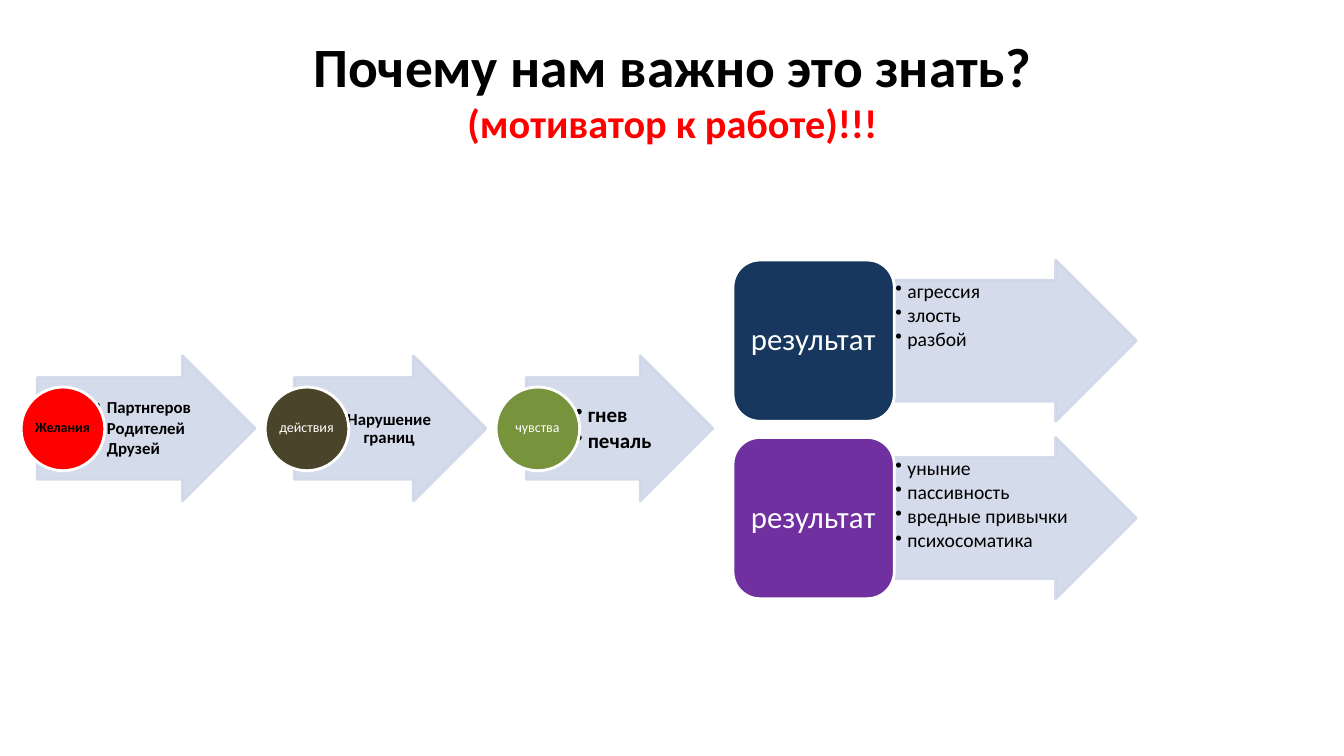
from copy import deepcopy

from lxml.etree import SubElement
from pptx import Presentation
from pptx.dml.color import RGBColor
from pptx.enum.shapes import MSO_SHAPE as Shape
from pptx.enum.text import MSO_ANCHOR as Anchor, MSO_AUTO_SIZE as AutoSize, PP_ALIGN as Align
from pptx.oxml.ns import qn
from pptx.util import Emu, Pt

EMU_PER_PX = 9144
FONT = "Calibri"
BLACK = RGBColor(0x00, 0x00, 0x00)
WHITE = RGBColor(0xFF, 0xFF, 0xFF)
RED = RGBColor(0xFF, 0x00, 0x00)
PALE_BLUE = RGBColor(0xD0, 0xD8, 0xE8)
OLIVE = RGBColor(0x4A, 0x45, 0x2A)
GREEN = RGBColor(0x77, 0x93, 0x3C)
NAVY = RGBColor(0x17, 0x37, 0x5E)
PURPLE = RGBColor(0x70, 0x30, 0xA0)

STAGES = [
    dict(arrow=(37, 216), words=(91, 111), badge=21, name="Желания", fill=RED,
         name_color=BLACK, name_bold=True, size=12, bulleted=True,
         lines=["Партнгеров", "Родителей", "Друзей"]),
    dict(arrow=(292, 190), words=(339, 93), badge=263, name="действия", fill=OLIVE,
         name_color=WHITE, name_bold=False, size=12, bulleted=False,
         lines=["Нарушение границ"]),
    dict(arrow=(522, 185), words=(568, 90), badge=492, name="чувства", fill=GREEN,
         name_color=WHITE, name_bold=False, size=15, bulleted=True,
         lines=["гнев", "печаль"]),
]
RESULTS = [
    (258, NAVY, ["агрессия", "злость", "разбой"]),
    (434, PURPLE, ["уныние", "пассивность", "вредные привычки", "психосоматика"]),
]


def px(value):
    return Emu(value * EMU_PER_PX)


def assign(target, values):
    for name, value in values.items():
        setattr(target, name, value)


def style_span(span, size, color, bold):
    assign(span.font, dict(name=FONT, size=Pt(size), bold=bold))
    span.font.color.rgb = color


def add_panel(page, kind, place, fill, line, adjustments=(), opacity=None):
    panel = page.shapes.add_shape(kind, *map(px, place))
    panel.shadow.inherit = False
    for index, value in enumerate(adjustments):
        panel.adjustments[index] = value
    panel.fill.solid()
    panel.fill.fore_color.rgb = fill
    panel.line.color.rgb = line
    panel.line.width = Pt(2)
    if opacity:
        for color in panel._element.spPr.iter(qn("a:srgbClr")):
            SubElement(color, qn("a:alpha"), val=str(opacity * 1000))


def add_arrow(page, place, thickness):
    add_panel(page, Shape.RIGHT_ARROW, place, PALE_BLUE, PALE_BLUE, (thickness, 0.5), 90)


def add_bullet(para):
    para.level = 1
    properties = para._p.get_or_add_pPr()
    properties.set("marL", str(px(12)))
    properties.set("indent", str(px(-12)))
    SubElement(properties, qn("a:buChar"), char="•")


def add_words(page, place, lines, size, color, bold=False, bulleted=False,
              anchor=Anchor.MIDDLE, insets=(1, 1, 1, 1)):
    frame = page.shapes.add_textbox(*map(px, place)).text_frame
    left, top, right, bottom = map(px, insets)
    assign(frame, dict(word_wrap=True, vertical_anchor=anchor, margin_left=left,
                       margin_top=top, margin_right=right, margin_bottom=bottom))
    for index, line in enumerate(lines):
        para = frame.add_paragraph() if index else frame.paragraphs[0]
        gap = 0.15 if bulleted else 0.35
        assign(para, dict(line_spacing=0.9, space_after=Pt(size * gap),
                          alignment=Align.LEFT if bulleted else Align.CENTER))
        if bulleted:
            add_bullet(para)
        span = para.add_run()
        span.text = line
        style_span(span, size, color, bold)


def add_title(page):
    title = page.shapes.title
    assign(title, dict(left=px(67), top=px(26), width=px(1200), height=px(125)))
    frame = title.text_frame
    assign(frame, dict(auto_size=AutoSize.NONE, vertical_anchor=Anchor.MIDDLE, word_wrap=True))
    para = frame.paragraphs[0]
    para.alignment = Align.CENTER
    heading = para.add_run()
    heading.text = "Почему нам важно это знать?"
    style_span(heading, 39.6, BLACK, True)
    para.add_line_break()
    para._p.find(qn("a:br")).append(deepcopy(heading._r.rPr))
    subtitle = para.add_run()
    subtitle.text = "(мотиватор к работе)!!!"
    style_span(subtitle, 28.8, RED, True)


def add_stage(page, stage):
    left, width = stage["arrow"]
    add_arrow(page, (left, 353, width, 144), 0.7)
    left, width = stage["words"]
    add_words(page, (left, 375, width, 101), stage["lines"], stage["size"], BLACK,
              True, stage["bulleted"], insets=(3, 1, 2, 1))
    badge = stage["badge"]
    add_panel(page, Shape.OVAL, (badge, 384, 83, 83), stage["fill"], WHITE)
    add_words(page, (badge + 12, 396, 58, 58), [stage["name"]], 10,
              stage["name_color"], stage["name_bold"])


def add_result(page, top, fill, lines):
    add_arrow(page, (887, top, 240, 160), 0.75)
    add_words(page, (887, top + 20, 180, 120), lines, 14, BLACK,
              bulleted=True, anchor=Anchor.TOP)
    add_panel(page, Shape.ROUNDED_RECTANGLE, (727, top, 160, 160), fill, WHITE)
    add_words(page, (734, top + 8, 145, 144), ["результат"], 22, WHITE, insets=(9, 5, 9, 5))


def main():
    deck = Presentation()
    assign(deck, dict(slide_width=px(1333), slide_height=px(750)))
    page = deck.slides.add_slide(deck.slide_layouts.get_by_name("Title Only"))
    add_title(page)
    for stage in STAGES:
        add_stage(page, stage)
    for top, fill, lines in RESULTS:
        add_result(page, top, fill, lines)
    deck.save("out.pptx")


if __name__ == "__main__":
    main()
